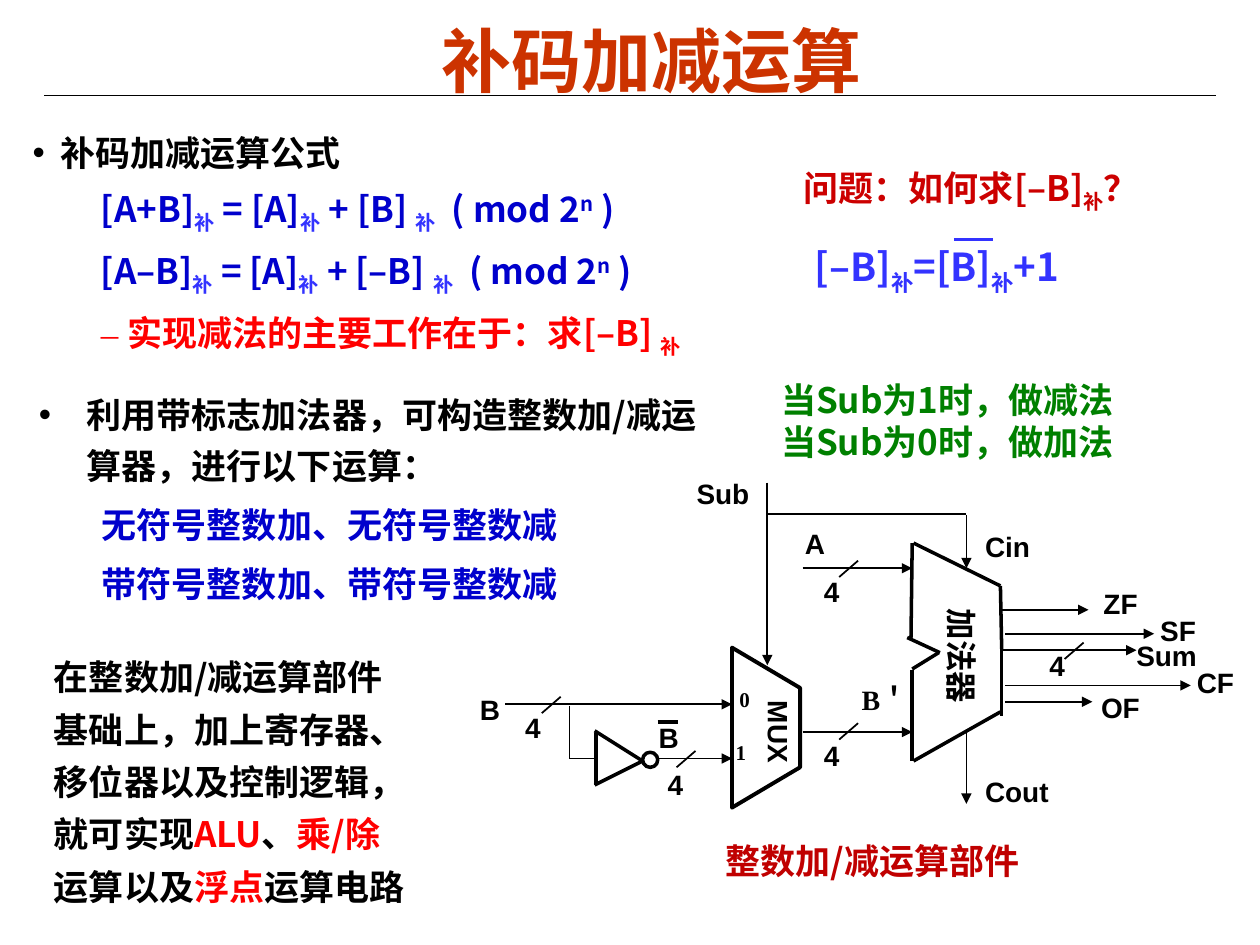
from dataclasses import dataclass
from typing import NamedTuple

from lxml.etree import SubElement
from pptx import Presentation
from pptx.dml.color import RGBColor
from pptx.enum.shapes import MSO_CONNECTOR, MSO_SHAPE
from pptx.enum.text import MSO_ANCHOR, PP_ALIGN
from pptx.oxml.ns import qn
from pptx.util import Inches, Pt

COLORS = {"black": "000000", "title": "CC3300", "formula": "0000CC", "light_blue": "3333FF",
          "red": "FF0000", "question": "CC0000", "green": "008000", "caption": "C00000"}
CJK = "Noto Sans CJK SC"
SERIF = "Times New Roman"
SUBSCRIPT, SUPERSCRIPT = -25, 30


class Span(NamedTuple):
    text: str
    color: str = "black"
    baseline: int = 0


@dataclass
class Line:
    spans: list[Span]
    margin: float = 0
    indent: float = 0
    bullet: str = ""
    bullet_font: str = "Arial"


@dataclass
class Style:
    size: float = 20
    font: str = CJK
    spacing: float = 1
    before: float = 0
    align: PP_ALIGN = PP_ALIGN.LEFT
    anchor: MSO_ANCHOR = MSO_ANCHOR.TOP
    inset: tuple[float, float] = (0.1, 0.05)
    wrap: bool = True
    rotation: float = 0


class Label(NamedTuple):
    text: str
    left: float
    top: float
    width: float
    height: float = 0.36


class Wire(NamedTuple):
    x1: float
    y1: float
    x2: float
    y2: float


def add_span(paragraph, span: Span, style: Style) -> None:
    run = paragraph.add_run()
    run.text = span.text
    run.font.size = Pt(style.size)
    run.font.bold = True
    run.font.name = style.font
    run.font.color.rgb = RGBColor.from_string(COLORS[span.color])
    properties = run._r.get_or_add_rPr()
    SubElement(properties, qn("a:ea"), typeface=CJK)
    if span.baseline:
        properties.set("baseline", str(span.baseline * 1000))


def add_text(slide, box: tuple[float, ...], lines: list[Line], style: Style) -> None:
    shape = slide.shapes.add_textbox(*map(Inches, box))
    shape.rotation = style.rotation
    frame = shape.text_frame
    frame.word_wrap = style.wrap
    frame.vertical_anchor = style.anchor
    frame.margin_left = frame.margin_right = Inches(style.inset[0])
    frame.margin_top = frame.margin_bottom = Inches(style.inset[1])
    for index, line in enumerate(lines):
        paragraph = frame.add_paragraph() if index else frame.paragraphs[0]
        paragraph.alignment = style.align
        paragraph.line_spacing = style.spacing
        paragraph.space_before = Pt(style.before)
        properties = paragraph._p.get_or_add_pPr()
        properties.set("marL", str(Inches(line.margin)))
        properties.set("indent", str(Inches(line.indent)))
        if line.bullet:
            SubElement(properties, qn("a:buFont"), typeface=line.bullet_font)
            SubElement(properties, qn("a:buChar"), char=line.bullet)
        for span in line.spans:
            add_span(paragraph, span, style)


def add_label(slide, label: Label, style: Style) -> None:
    add_text(slide, label[1:], [Line([Span(label.text)])], style)


def add_wire(slide, wire: Wire, width: float = 1, arrow: bool = False, color: str = "black") -> None:
    connector = slide.shapes.add_connector(MSO_CONNECTOR.STRAIGHT, *map(Inches, wire))
    connector.line.width = Pt(width)
    connector.line.color.rgb = RGBColor.from_string(COLORS[color])
    if arrow:
        SubElement(connector.line._get_or_add_ln(), qn("a:tailEnd"), type="triangle")
    SubElement(connector._element.spPr, qn("a:effectLst"))


def outline(shape, width: float) -> None:
    shape.shadow.inherit = False
    shape.fill.background()
    shape.line.width = Pt(width)
    shape.line.color.rgb = RGBColor.from_string(COLORS["black"])


def formula(left: str, right: str) -> Line:
    """One complement identity, modulo 2 to the n."""
    mark = Span("补", "light_blue", SUBSCRIPT)
    return Line([Span(left, "formula"), mark, Span(" = [A]", "formula"), mark,
                 Span(f" + [{right}] ", "formula"), mark, Span("  ( mod 2", "formula"),
                 Span("n", "formula", SUPERSCRIPT), Span(" )", "formula")], 0.75, -0.21)


def add_explanations(slide) -> None:
    add_text(slide, (1.16, 0.11, 8.02, 0.73), [Line([Span("补码加减运算", "title")])],
             Style(40, "Arial", align=PP_ALIGN.CENTER, anchor=MSO_ANCHOR.MIDDLE, inset=(0.07, 0.03)))
    add_text(slide, (0.21, 3.01, 5.43, 2.82), [
        Line([Span("利用带标志加法器，可构造整数加/减运算器，进行以下运算：")], 0.38, -0.38, "•"),
        Line([Span("无符号整数加、无符号整数减", "formula")], 0.81, -0.31),
        Line([Span("带符号整数加、带符号整数减", "formula")], 0.81, -0.31),
    ], Style(spacing=1.2, before=5))
    add_text(slide, (6.1, 2.95, 3.12, 0.77),
             [Line([Span(f"当Sub为{value}时，做{operation}法", "green")])
              for value, operation in ((1, "减"), (0, "加"))], Style(anchor=MSO_ANCHOR.MIDDLE))
    add_text(slide, (0.19, 0.96, 6.47, 1.79), [
        Line([Span("补码加减运算公式")], 0.22, -0.22, "•"),
        formula("[A+B]", "B"),
        formula("[A–B]", "–B"),
        Line([Span("实现减法的主要工作在于：求[–B] ", "red"), Span("补", "red", SUBSCRIPT)],
             0.75, -0.21, "–", SERIF),
    ], Style(spacing=1.15, before=4, inset=(0.07, 0.03)))
    add_text(slide, (6.28, 1.27, 3.14, 0.43),
             [Line([Span("问题：如何求[–B]", "question"), Span("补", "question", SUBSCRIPT),
                    Span("？", "question")])], Style())
    mark = Span("补", "light_blue", SUBSCRIPT)
    add_text(slide, (6.37, 1.88, 2.6, 0.47),
             [Line([Span("[–B]", "light_blue"), mark, Span("=[B]", "light_blue"), mark,
                    Span("+1", "light_blue")])], Style(22))
    add_wire(slide, Wire(7.57, 1.9, 7.88, 1.9), 1.5, color="light_blue")
    add_text(slide, (0.33, 5.07, 3.06, 2.18), [Line([
        Span("在整数加/减运算部件基础上，加上寄存器、移位器以及控制逻辑，就可实现"),
        Span("ALU", "red"), Span("、"), Span("乘/除", "red"), Span("运算以及"),
        Span("浮点", "red"), Span("运算电路")])], Style(spacing=1.25))
    add_text(slide, (5.66, 6.61, 2.61, 0.43), [Line([Span("整数加/减运算部件", "caption")])], Style())


def add_circuit(slide) -> None:
    adder = [Wire(7.24, 4.31, 7.23, 5.07), Wire(7.25, 4.31, 7.94, 4.65), Wire(7.2, 5.06, 7.46, 5.18),
             Wire(7.94, 4.65, 7.95, 5.15), Wire(7.24, 6.04, 7.24, 5.32), Wire(7.25, 6.04, 7.94, 5.65),
             Wire(7.24, 5.31, 7.45, 5.18), Wire(7.95, 5.68, 7.95, 5.15)]
    inverter = [Wire(5.1, 6.04, 4.72, 5.8), Wire(5.1, 6.04, 4.72, 6.23), Wire(4.73, 5.82, 4.73, 6.23)]
    for wire in adder + inverter:
        add_wire(slide, wire, 2)
    outline(slide.shapes.add_shape(MSO_SHAPE.OVAL, *map(Inches, (5.1, 5.97, 0.12, 0.12))), 2)

    corners = [(Inches(x), Inches(y)) for x, y in ((5.81, 6.41), (6.35, 6.09), (6.35, 5.46), (5.81, 5.14))]
    builder = slide.shapes.build_freeform(*corners[0], scale=1.0)
    builder.add_line_segments(corners[1:], close=True)
    outline(builder.convert_to_shape(), 2.25)

    inputs = [Wire(6.37, 4.51, 7.24, 4.51), Wire(6.37, 5.81, 7.24, 5.81), Wire(4.01, 5.59, 5.81, 5.59),
              Wire(5.23, 6.02, 5.81, 6.02), Wire(6.09, 3.83, 6.09, 5.28), Wire(7.67, 4.09, 7.67, 4.51)]
    outputs = [Wire(7.95, 4.84, 8.64, 4.84), Wire(7.98, 5.03, 9.16, 5.03), Wire(7.96, 5.16, 9.02, 5.16),
               Wire(7.98, 5.44, 9.45, 5.44), Wire(7.98, 5.57, 8.67, 5.57), Wire(7.67, 5.82, 7.67, 6.38)]
    for wire in inputs + outputs:
        add_wire(slide, wire, arrow=True)
    for branch in (Wire(7.67, 4.08, 6.09, 4.08), Wire(4.52, 5.6, 4.52, 6.02), Wire(4.52, 6.02, 4.72, 6.02)):
        add_wire(slide, branch)
    for x, y in ((6.66, 4.45), (6.66, 5.74), (8.45, 5.1), (4.3, 5.53), (5.37, 5.96)):
        add_wire(slide, Wire(x + 0.15, y, x, y + 0.13))
    add_wire(slide, Wire(5.22, 5.73, 5.38, 5.73), 2.25)

    signals = [Label("Sum", 8.92, 5.02, 0.72), Label("A", 6.29, 4.13, 0.36), Label("ZF", 8.66, 4.61, 0.5),
               Label("Cin", 7.72, 4.15, 0.6), Label("Cout", 7.72, 6.1, 0.8), Label("B", 3.71, 5.45, 0.36),
               Label("Sub", 5.43, 3.73, 0.65), Label("B", 5.13, 5.67, 0.36), Label("OF", 8.64, 5.43, 0.55),
               Label("SF", 9.11, 4.82, 0.59), Label("CF", 9.4, 5.23, 0.6)]
    bus_widths = [Label("4", x, y, 0.32)
                  for x, y in ((6.44, 4.51), (6.44, 5.81), (8.23, 5.1), (4.07, 5.59), (5.2, 6.04))]
    for label in signals + bus_widths:
        add_label(slide, label, Style(16, "Arial", wrap=False))
    for label in (Label("0", 5.77, 5.4, 0.28, 0.3), Label("1", 5.74, 5.82, 0.28, 0.3)):
        add_label(slide, label, Style(12, SERIF, wrap=False))
    add_label(slide, Label("B＇", 6.74, 5.37, 0.68, 0.37), Style(16, SERIF))
    add_label(slide, Label("加法器", 7.1, 5.07, 1.07, 0.4), Style(18, "Arial", rotation=90))
    add_label(slide, Label("MUX", 5.77, 5.69, 0.82, 0.37), Style(16, "Arial", rotation=90))


def main() -> None:
    presentation = Presentation()
    presentation.slide_width = Inches(10)
    presentation.slide_height = Inches(7.5)
    slide = presentation.slides.add_slide(presentation.slide_layouts[6])
    add_wire(slide, Wire(0.35, 0.76, 9.65, 0.76), 0.75)
    add_explanations(slide)
    add_circuit(slide)
    presentation.save("out.pptx")


if __name__ == "__main__":
    main()
